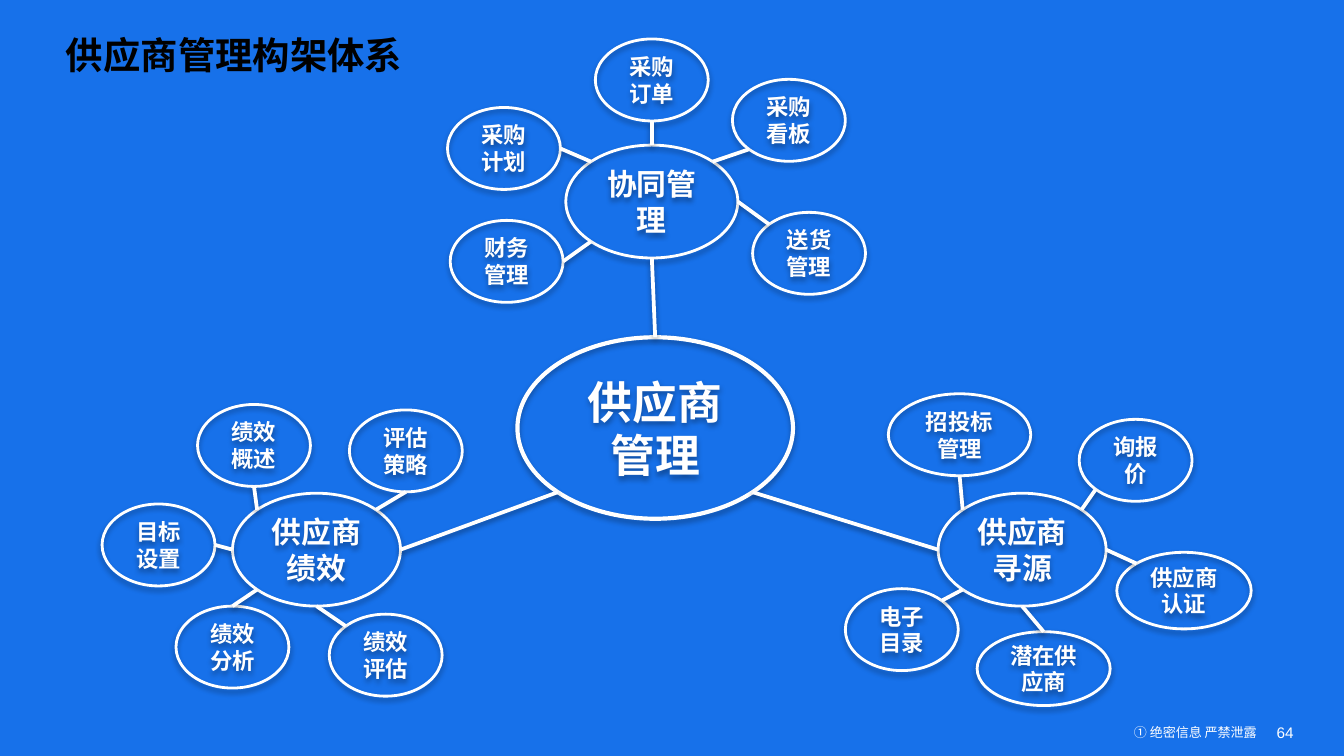
from math import sqrt

from lxml import etree
from pptx import Presentation
from pptx.dml.color import RGBColor
from pptx.enum.shapes import MSO_CONNECTOR, MSO_SHAPE
from pptx.enum.text import MSO_ANCHOR, PP_ALIGN
from pptx.oxml.ns import qn
from pptx.util import Inches, Pt

BLUE = RGBColor(0x17, 0x71, 0xEA)
WHITE = RGBColor(0xFF, 0xFF, 0xFF)
BLACK = RGBColor(0, 0, 0)
CJK, LATIN = "Noto Sans CJK SC", "Arial"
ELLIPSE, STRAIGHT = MSO_SHAPE.OVAL, MSO_CONNECTOR.STRAIGHT
MIDDLE, TOP_ANCHOR = MSO_ANCHOR.MIDDLE, MSO_ANCHOR.TOP
LEFT_ALIGN, CENTER, RIGHT_ALIGN = PP_ALIGN.LEFT, PP_ALIGN.CENTER, PP_ALIGN.RIGHT

# Points on an ellipse's outline, as fractions of its half width and half height
D = 1 / sqrt(2)
TOP, BOTTOM, LEFT, RIGHT = (0, -1), (0, 1), (-1, 0), (1, 0)
TOP_LEFT, TOP_RIGHT, BOTTOM_LEFT, BOTTOM_RIGHT = (-D, -D), (D, -D), (-D, D), (D, D)

CORE_BOX = (3.85, 2.51, 2.05, 1.35)
LEAF = (0.84, 0.61)

# Branch: topic, box, core point, topic point,
# leaves (label, offset from the topic box, size, topic point, leaf point)
BRANCHES = [
    ("协同管理", (4.21, 1.08, 1.28, 0.84), TOP, BOTTOM, [
        ("采购订单", (0.22, -0.79), LEAF, TOP, BOTTOM),
        ("采购计划", (-0.88, -0.28), LEAF, TOP_LEFT, RIGHT),
        ("财务管理", (-0.86, 0.56), LEAF, BOTTOM_LEFT, RIGHT),
        ("送货管理", (1.39, 0.5), LEAF, RIGHT, TOP_LEFT),
        ("采购看板", (1.24, -0.49), LEAF, TOP_RIGHT, BOTTOM_LEFT),
    ]),
    ("供应商绩效", (1.73, 3.67, 1.25, 0.84), BOTTOM_LEFT, RIGHT, [
        ("绩效概述", (-0.26, -0.66), LEAF, TOP_LEFT, BOTTOM),
        ("目标设置", (-0.97, 0.08), LEAF, LEFT, RIGHT),
        ("绩效分析", (-0.42, 0.84), LEAF, BOTTOM_LEFT, TOP),
        ("绩效评估", (0.72, 0.9), LEAF, BOTTOM, TOP_LEFT),
        ("评估策略", (0.87, -0.62), LEAF, TOP_RIGHT, BOTTOM),
    ]),
    ("供应商寻源", (6.98, 3.67, 1.25, 0.84), BOTTOM_RIGHT, LEFT, [
        ("潜在供应商", (0.29, 1.03), (0.99, 0.55), BOTTOM, TOP),
        ("供应商认证", (1.33, 0.44), (1, 0.57), RIGHT, TOP_LEFT),
        ("询报价", (1.05, -0.55), LEAF, TOP_RIGHT, BOTTOM_LEFT),
        ("电子目录", (-0.69, 0.71), LEAF, BOTTOM_LEFT, TOP_RIGHT),
        ("招投标管理", (-0.37, -0.74), (1.06, 0.61), TOP_LEFT, BOTTOM),
    ]),
]


def add_shadow(shape, distance, opacity):
    """Soft black shadow straight below; distance in points, opacity in percent."""
    effects = etree.SubElement(shape._element.spPr, qn("a:effectLst"))
    shadow = etree.SubElement(effects, qn("a:outerShdw"), blurRad=str(Pt(3.1)),
                              dist=str(Pt(distance)), dir="5400000", rotWithShape="0")
    color = etree.SubElement(shadow, qn("a:srgbClr"), val=str(BLACK))
    etree.SubElement(color, qn("a:alpha"), val=str(opacity * 1000))


def write(frame, text, size, align, color=WHITE, bold=False, font=CJK):
    frame.word_wrap = True
    frame.text = text
    paragraph = frame.paragraphs[0]
    paragraph.alignment = align
    run = paragraph.runs[0]
    run.font.size = Pt(size)
    run.font.bold = bold
    run.font.color.rgb = color
    run.font.name = font
    etree.SubElement(run.font._element, qn("a:ea"), typeface=font)
    return paragraph


def add_label(slide, box, text, size, align, anchor, inset=0, **style):
    frame = slide.shapes.add_textbox(*map(Inches, box)).text_frame
    frame.margin_left = frame.margin_right = Inches(inset)
    frame.margin_top = frame.margin_bottom = Inches(inset)
    frame.vertical_anchor = anchor
    return write(frame, text, size, align, **style)


def add_bubble(slide, box, text, size, line_width=1.5):
    bubble = slide.shapes.add_shape(ELLIPSE, *map(Inches, box))
    bubble.fill.background()
    bubble.line.color.rgb = WHITE
    bubble.line.width = Pt(line_width)
    add_shadow(bubble, 1.8, 35)
    bubble.text_frame.vertical_anchor = MIDDLE
    write(bubble.text_frame, text, size, CENTER, bold=True)


def outline_point(box, site):
    left, top, width, height = box
    return (Inches(left + width / 2 * (1 + site[0])),
            Inches(top + height / 2 * (1 + site[1])))


def add_link(slide, from_box, from_site, to_box, to_site):
    link = slide.shapes.add_connector(STRAIGHT, *outline_point(from_box, from_site),
                                      *outline_point(to_box, to_site))
    link.line.color.rgb = WHITE
    link.line.width = Pt(2)
    add_shadow(link, 1.6, 38)


def add_branch(slide, box, topic, leaves):
    add_bubble(slide, box, topic, 16)
    for label, (dx, dy), size, topic_site, leaf_site in leaves:
        leaf_box = (box[0] + dx, box[1] + dy, *size)
        add_bubble(slide, leaf_box, label, 12)
        add_link(slide, box, topic_site, leaf_box, leaf_site)


def add_mind_map(slide, core_box):
    add_bubble(slide, core_box, "供应商管理", 24, line_width=2.25)
    for topic, box, core_site, topic_site, leaves in BRANCHES:
        add_branch(slide, box, topic, leaves)
        add_link(slide, core_box, core_site, box, topic_site)


def add_footer(slide, box):
    left, top, width, height = box
    notice = add_label(slide, (left, top, 1.77, height), "① 绝密信息 严禁泄露",
                       7, RIGHT_ALIGN, MIDDLE, inset=0.01)
    notice.line_spacing = Pt(10)
    add_label(slide, (left + width - 0.5, top + 0.01, 0.5, height), "64",
              8.2, LEFT_ALIGN, MIDDLE, font=LATIN)


def main():
    prs = Presentation()
    prs.slide_width = Inches(10)
    prs.slide_height = prs.slide_width * 9 // 16
    slide = prs.slides.add_slide(prs.slide_layouts[6])
    slide.background.fill.solid()
    slide.background.fill.fore_color.rgb = BLUE

    # Title
    add_label(slide, (0.49, 0.24, 9.19, 0.64), "供应商管理构架体系",
              20, LEFT_ALIGN, TOP_ANCHOR, color=BLACK, bold=True)
    # Core, branches and their leaves
    add_mind_map(slide, CORE_BOX)
    # Confidentiality notice and page number
    add_footer(slide, (7.59, 5.37, 2.41, 0.14))
    prs.save("out.pptx")


if __name__ == "__main__":
    main()
